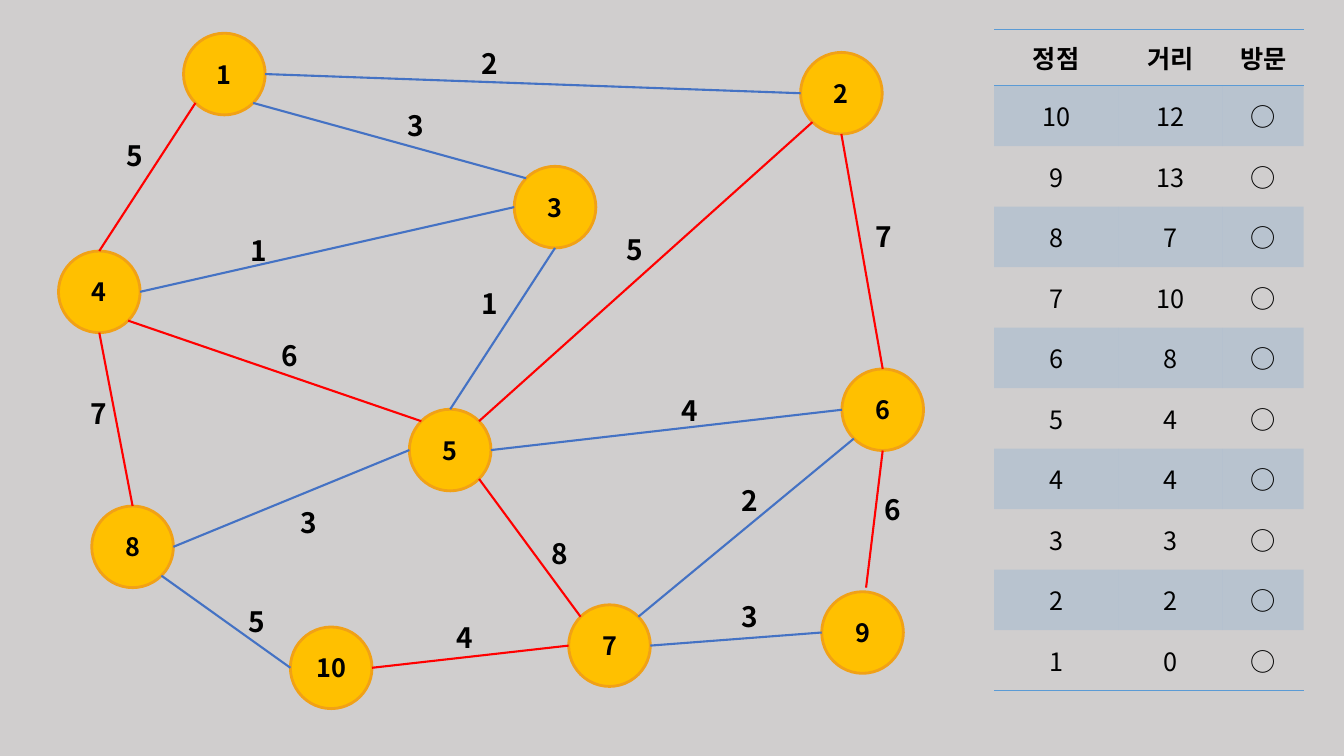
from math import cos, radians, sin

from lxml import etree
from pptx import Presentation
from pptx.dml.color import RGBColor
from pptx.enum.shapes import MSO_CONNECTOR, MSO_SHAPE
from pptx.enum.text import MSO_ANCHOR, MSO_AUTO_SIZE, PP_ALIGN
from pptx.oxml.ns import qn
from pptx.util import Inches, Pt

FONT = "Noto Sans CJK KR"
BACKGROUND = RGBColor(0xD0, 0xCE, 0xCE)
BLACK = RGBColor(0x00, 0x00, 0x00)
NODE_FILL = RGBColor(0xFF, 0xC0, 0x00)
NODE_LINE = RGBColor(0xF1, 0xA1, 0x16)
BLUE = RGBColor(0x44, 0x72, 0xC4)
RED = RGBColor(0xFF, 0x00, 0x00)
TABLE_BLUE = RGBColor(0x5B, 0x9B, 0xD5)

NODE_SIZE = 0.81

# Left and top of each vertex
VERTICES = {
    1: (1.82, 0.33), 2: (7.94, 0.52), 3: (5.1, 1.65), 4: (0.58, 2.49),
    5: (4.06, 4.06), 6: (8.35, 3.66), 7: (5.64, 6), 8: (0.91, 5.02),
    9: (8.15, 5.87), 10: (2.88, 6.22),
}

# Compass points on a vertex, as clockwise angles from the right
ANGLES = {"E": 0, "SE": 45, "S": 90, "SW": 135,
          "W": 180, "NW": 225, "N": 270, "NE": 315}

# Start vertex and side, end vertex and side, colour
EDGES = [
    (4, "N", 1, "SW", RED), (3, "NW", 1, "SE", BLUE),
    (2, "W", 1, "E", BLUE), (2, "S", 6, "N", RED),
    (2, "SW", 5, "NE", RED), (3, "S", 5, "N", BLUE),
    (3, "W", 4, "E", BLUE), (4, "S", 8, "N", RED),
    (5, "W", 8, "E", BLUE), (5, "NW", 4, "SE", RED),
    (5, "SE", 7, "NW", RED), (6, "W", 5, "E", BLUE),
    (6, "SW", 7, "NE", BLUE), (10, "E", 7, "W", RED),
    (10, "W", 8, "SE", BLUE), (9, "W", 7, "E", BLUE),
]

# Weight, left and top of its label
WEIGHTS = [
    (5, 1.16, 1.32), (3, 3.94, 1.03), (2, 4.68, 0.41), (7, 8.59, 2.13),
    (5, 6.12, 2.26), (1, 4.68, 2.79), (1, 2.39, 2.27), (7, 0.8, 3.88),
    (3, 2.88, 4.97), (6, 2.69, 3.31), (8, 5.37, 5.27), (4, 6.66, 3.85),
    (6, 8.67, 4.84), (2, 7.26, 4.75), (4, 4.43, 6.11), (5, 2.37, 5.95),
    (3, 7.26, 5.9),
]

HEADINGS = ["정점", "거리", "방문"]
DISTANCES = {10: 12, 9: 13, 8: 7, 7: 10, 6: 8, 5: 4, 4: 4, 3: 3, 2: 2, 1: 0}
COLUMN_WIDTHS = [1.23, 1.04, 0.8]
HEADER_HEIGHT, ROW_HEIGHT = 0.56, 0.6
PLAIN_TABLE_STYLE = "{2D5ABB26-0587-4C30-8999-92F81FD0307C}"


def write(frame, text, size, bold=True, align=PP_ALIGN.CENTER):
    paragraph = frame.paragraphs[0]
    paragraph.alignment = align
    run = paragraph.add_run()
    run.text = str(text)
    font = run.font
    font.name, font.size, font.bold = FONT, Pt(size), bold
    font.color.rgb = BLACK
    # Typeface for the Korean letters
    east_asian = etree.Element(qn("a:ea"), typeface=FONT)
    font._element.find(qn("a:latin")).addnext(east_asian)


def add_vertex(slide, number, left, top):
    vertex = slide.shapes.add_shape(
        MSO_SHAPE.OVAL, Inches(left), Inches(top),
        Inches(NODE_SIZE), Inches(NODE_SIZE))
    vertex.shadow.inherit = False
    vertex.fill.solid()
    vertex.fill.fore_color.rgb = NODE_FILL
    vertex.line.color.rgb = NODE_LINE
    vertex.line.width = Pt(2)
    frame = vertex.text_frame
    frame.vertical_anchor = MSO_ANCHOR.MIDDLE
    frame.margin_left = frame.margin_right = 0
    write(frame, number, 18)


def rim_point(number, side):
    left, top = VERTICES[number]
    radius, angle = NODE_SIZE / 2, radians(ANGLES[side])
    return (left + radius * (1 + cos(angle)),
            top + radius * (1 + sin(angle)))


def add_edge(slide, start, end, color):
    edge = slide.shapes.add_connector(
        MSO_CONNECTOR.STRAIGHT, *(Inches(n) for n in (*start, *end)))
    edge.line.color.rgb = color
    edge.line.width = Pt(1.5)
    etree.SubElement(edge._element.spPr, qn("a:effectLst"))


def add_weight(slide, weight, left, top):
    label = slide.shapes.add_textbox(
        Inches(left), Inches(top), Inches(0.36), Inches(0.44))
    label.text_frame.word_wrap = False
    label.text_frame.auto_size = MSO_AUTO_SIZE.SHAPE_TO_FIT_TEXT
    write(label.text_frame, weight, 20, align=PP_ALIGN.LEFT)


def fill_cell(cell, shaded):
    if not shaded:
        cell.fill.background()
        return
    cell.fill.solid()
    cell.fill.fore_color.rgb = TABLE_BLUE
    color = cell._tc.tcPr.find(f"{qn('a:solidFill')}/{qn('a:srgbClr')}")
    etree.SubElement(color, qn("a:alpha"), val="20000")


def rule_cell(cell, sides):
    # Borders come before the fill in the cell properties
    for position, side in enumerate(sides):
        border = etree.Element(qn(f"a:ln{side}"), w=str(Pt(1)))
        fill = etree.SubElement(border, qn("a:solidFill"))
        etree.SubElement(fill, qn("a:srgbClr"), val=str(TABLE_BLUE))
        cell._tc.tcPr.insert(position, border)


def add_distance_table(slide, left, top):
    rows = [HEADINGS] + [(v, d, "○") for v, d in DISTANCES.items()]
    height = HEADER_HEIGHT + ROW_HEIGHT * len(DISTANCES)
    table = slide.shapes.add_table(
        len(rows), len(HEADINGS), Inches(left), Inches(top),
        Inches(sum(COLUMN_WIDTHS)), Inches(height)).table
    table.horz_banding = False
    table._tbl.tblPr.find(qn("a:tableStyleId")).text = PLAIN_TABLE_STYLE
    for column, width in zip(table.columns, COLUMN_WIDTHS):
        column.width = Inches(width)

    for r, values in enumerate(rows):
        table.rows[r].height = Inches(ROW_HEIGHT if r else HEADER_HEIGHT)
        for c, value in enumerate(values):
            cell = table.cell(r, c)
            cell.vertical_anchor = MSO_ANCHOR.MIDDLE
            write(cell.text_frame, value, 18, bold=r == 0)
            fill_cell(cell, shaded=r % 2 == 1)
            if r == 0:
                rule_cell(cell, "TB")
            elif r == len(rows) - 1:
                rule_cell(cell, "B")


def main():
    deck = Presentation()
    deck.slide_width, deck.slide_height = Inches(13.33), Inches(7.5)
    slide = deck.slides.add_slide(deck.slide_layouts[6])
    slide.background.fill.solid()
    slide.background.fill.fore_color.rgb = BACKGROUND

    # Graph
    for number, (left, top) in VERTICES.items():
        add_vertex(slide, number, left, top)
    for start, start_side, end, end_side, color in EDGES:
        add_edge(slide, rim_point(start, start_side),
                 rim_point(end, end_side), color)
    # This edge stops just above vertex 9
    add_edge(slide, (8.59, 5.83), rim_point(6, "S"), RED)
    for weight, left, top in WEIGHTS:
        add_weight(slide, weight, left, top)

    # Distances
    add_distance_table(slide, 9.86, 0.29)
    deck.save("out.pptx")


if __name__ == "__main__":
    main()
